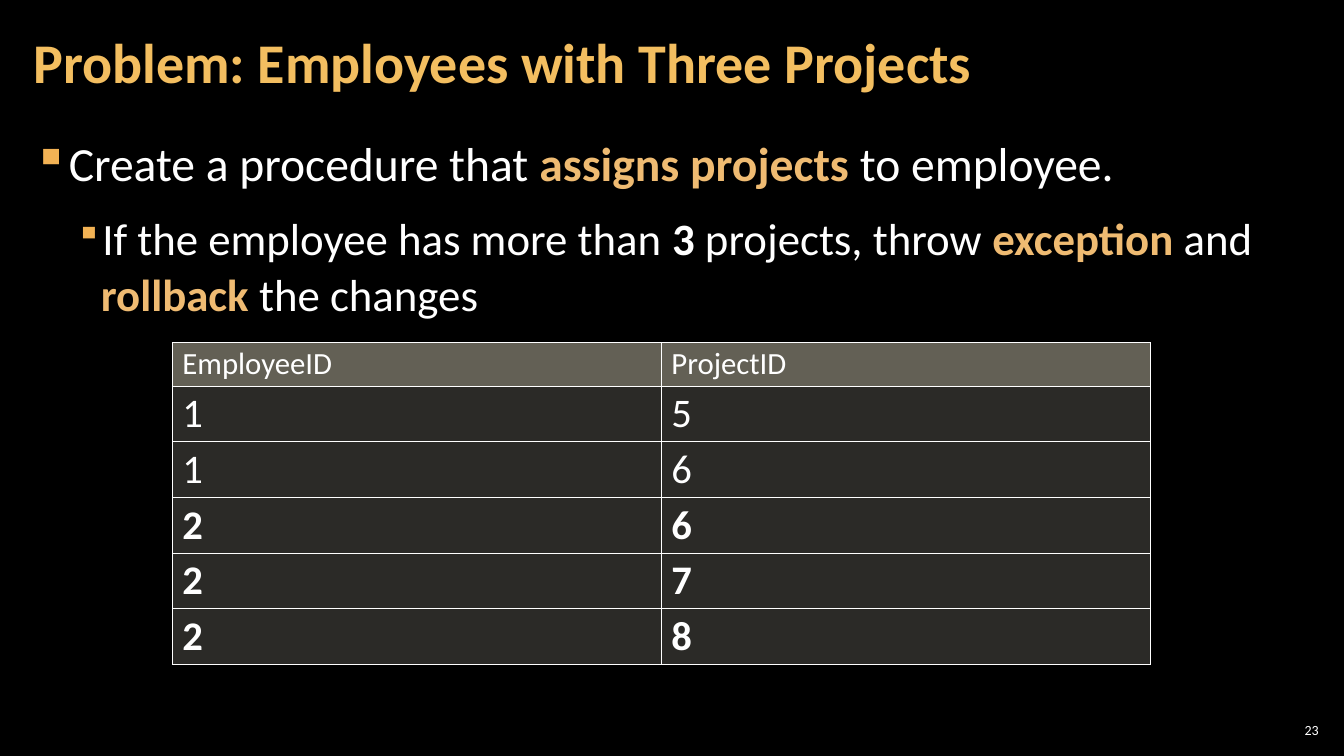
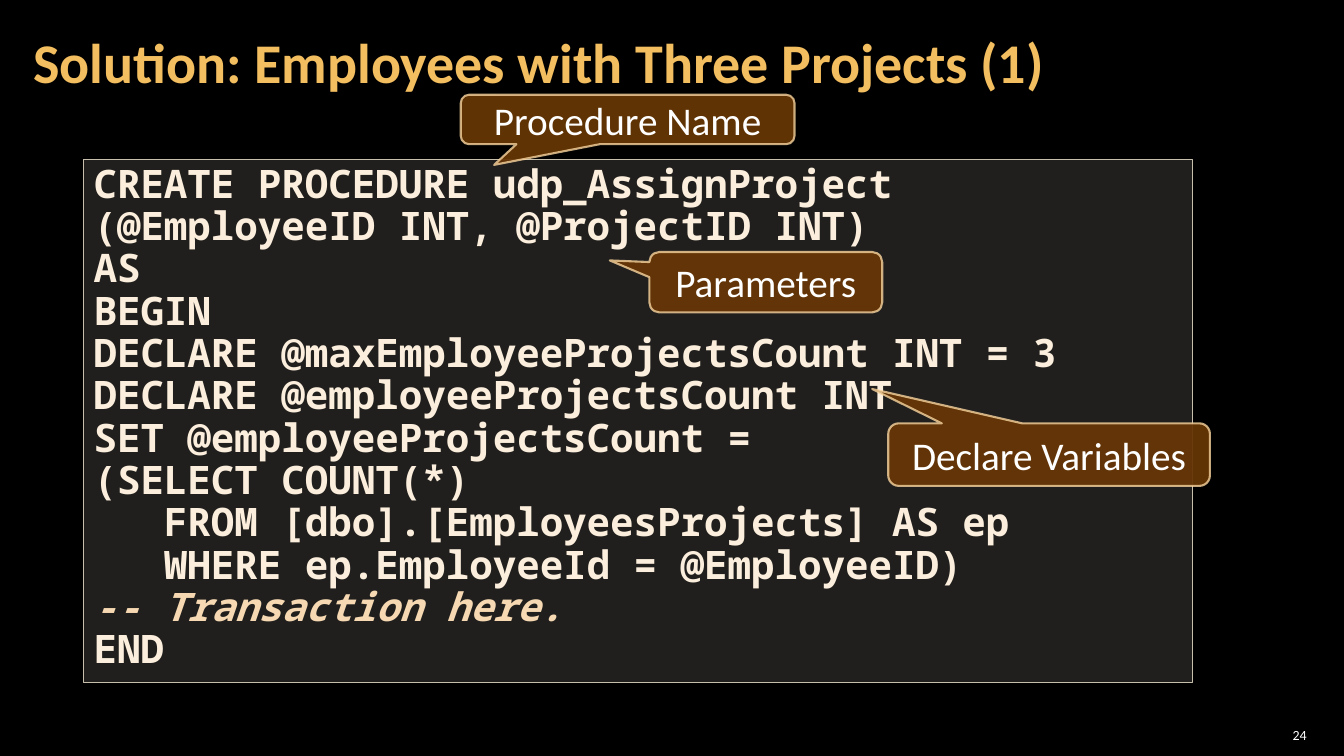
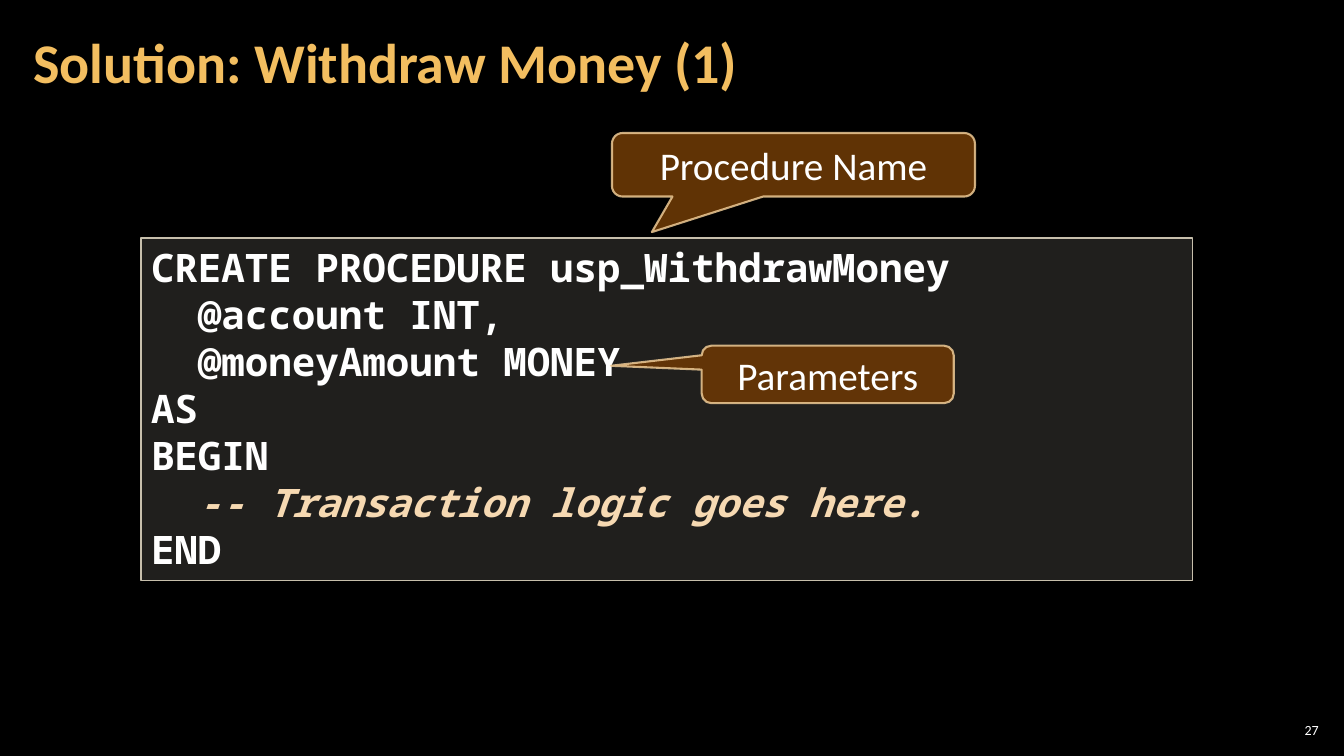
from dataclasses import dataclass
from lxml import etree
from pptx import Presentation
from pptx import util as u
from pptx.dml.color import RGBColor
from pptx.enum import shapes, text
from pptx.oxml.ns import qn

EMU_PER_PX = 9144
BODY_FONT = "Calibri"
CODE_FONT = "Noto Sans Mono"
COLOURS = {
    "background": "000000",
    "title": "F3BE60",
    "white": "FFFFFF",
    "emphasis": "EFBB72",
    "bullet": "F2B254",
    "table_header": "C6C0AA",
    "panel": "D9D5C7",
    "panel_line": "C7BFAC",
    "code": "FBEEDC",
    "code_comment": "F6D9B2",
    "callout": "663606",
    "callout_line": "F8D49E",
}


@dataclass(frozen=True)
class Box:
    left: int
    top: int
    width: int
    height: int


@dataclass(frozen=True)
class Span:
    words: str
    colour: str = "white"
    bold: bool = False


@dataclass(frozen=True)
class Bullet:
    level: int
    size: int
    margin: int
    hanging: int
    marker_percent: int
    spans: tuple[Span, ...]


@dataclass(frozen=True)
class Callout:
    label: str
    box: Box
    tip_x: float
    tip_y: float


@dataclass(frozen=True)
class CodeSlide:
    title: str
    number: str
    number_box: Box
    code_box: Box
    code: str
    code_colour: str
    line_spacing: float
    callouts: tuple[Callout, ...]


TITLE_BOX = Box(21, 4, 1047, 121)
NUMBER_BOX = Box(1265, 714, 47, 21)
BULLETS_BOX = Box(21, 126, 1291, 609)
TABLE_BOX = Box(171, 340, 970, 318)
HEADER_HEIGHT = 43

BULLETS = (
    Bullet(0, 34, 33, 33, 100, (
        Span("Create a procedure that "),
        Span("assigns projects", "emphasis", True),
        Span(" to employee."),
    )),
    Bullet(1, 32, 67, 25, 80, (
        Span("If the employee has more than "),
        Span("3", bold=True),
        Span(" projects, throw "),
        Span("exception", "emphasis", True),
        Span(" and "),
        Span("rollback", "emphasis", True),
        Span(" the changes"),
    )),
)

ASSIGNMENTS = (
    ("EmployeeID", "ProjectID"),
    ("1", "5"),
    ("1", "6"),
    ("2", "6"),
    ("2", "7"),
    ("2", "8"),
)

ASSIGN_PROJECT = """CREATE PROCEDURE udp_AssignProject
(@EmployeeID INT, @ProjectID INT)
AS
BEGIN
DECLARE @maxEmployeeProjectsCount INT = 3
DECLARE @employeeProjectsCount INT
SET @employeeProjectsCount =
(SELECT COUNT(*)
   FROM [dbo].[EmployeesProjects] AS ep
   WHERE ep.EmployeeId = @EmployeeID)
-- Transaction here.
END"""

WITHDRAW_MONEY = """CREATE PROCEDURE usp_WithdrawMoney
  @account INT,
  @moneyAmount MONEY
AS
BEGIN
  -- Transaction logic goes here.
END"""

CODE_SLIDES = (
    CodeSlide(
        "Solution: Employees with Three Projects (1)", "24", Box(1250, 717, 50, 25),
        Box(83, 158, 1100, 519), ASSIGN_PROJECT, "code", 0.9,
        (
            Callout("Procedure Name", Box(457, 94, 331, 49), -0.4, 0.92),
            Callout("Parameters", Box(644, 250, 231, 60), -0.67, -0.36),
            Callout("Declare Variables", Box(881, 420, 319, 62), -0.55, -1.05),
        ),
    ),
    CodeSlide(
        "Solution: Withdraw Money (1)", "27", NUMBER_BOX,
        Box(140, 236, 1043, 340), WITHDRAW_MONEY, "white", 1.0,
        (
            Callout("Procedure Name", Box(607, 132, 360, 63), -0.39, 1.06),
            Callout("Parameters", Box(696, 343, 250, 57), -0.86, -0.15),
        ),
    ),
)


def px(length: int) -> u.Emu:
    return u.Emu(length * EMU_PER_PX)


def colour_of(name: str) -> RGBColor:
    return RGBColor.from_string(COLOURS[name])


def edges(box: Box) -> tuple:
    return px(box.left), px(box.top), px(box.width), px(box.height)


def format_font(font, size: int, colour: str = "white", bold: bool = False,
                name: str = BODY_FONT, italic: bool = False) -> None:
    font.name = name
    font.size = u.Pt(size)
    font.bold = bold
    font.italic = italic
    font.color.rgb = colour_of(colour)


def set_frame(frame, side: int, top: int, anchor=text.MSO_ANCHOR.MIDDLE) -> None:
    frame.word_wrap = True
    frame.auto_size = text.MSO_AUTO_SIZE.NONE
    frame.vertical_anchor = anchor
    frame.margin_left = frame.margin_right = px(side)
    frame.margin_top = frame.margin_bottom = px(top)


def set_opacity(parent, percent: int) -> None:
    colour = parent.find(qn("a:solidFill"))[0]
    etree.SubElement(colour, qn("a:alpha"), val=str(percent * 1000))


def add_solid(parent, colour: str) -> None:
    fill = etree.SubElement(parent, qn("a:solidFill"))
    etree.SubElement(fill, qn("a:srgbClr"), val=COLOURS[colour])


def add_panel(slide, kind, box: Box, fill: str, opacity: int, line: str, line_width: float):
    shape = slide.shapes.add_shape(kind, *edges(box))
    shape.shadow.inherit = False
    shape.fill.solid()
    shape.fill.fore_color.rgb = colour_of(fill)
    set_opacity(shape.element.spPr, opacity)
    shape.line.color.rgb = colour_of(line)
    shape.line.width = u.Pt(line_width)
    return shape


def add_titled_slide(presentation, title: str, number: str, number_box: Box):
    slide = presentation.slides.add_slide(presentation.slide_layouts[5])
    heading = slide.shapes.title
    heading.left, heading.top, heading.width, heading.height = edges(TITLE_BOX)
    set_frame(heading.text_frame, 12, 4)
    heading.text_frame.text = title
    paragraph = heading.text_frame.paragraphs[0]
    paragraph.alignment = text.PP_ALIGN.LEFT
    paragraph.line_spacing = 0.9
    format_font(paragraph.runs[0].font, 40, "title", True)

    footer = slide.shapes.add_textbox(*edges(number_box)).text_frame
    set_frame(footer, 4, 4)
    footer.text = number
    footer.paragraphs[0].alignment = text.PP_ALIGN.RIGHT
    format_font(footer.paragraphs[0].runs[0].font, 10)
    return slide


def add_bullets(slide, box: Box, bullets: tuple[Bullet, ...]) -> None:
    frame = slide.shapes.add_textbox(*edges(box)).text_frame
    set_frame(frame, 12, 4, text.MSO_ANCHOR.TOP)
    for index, bullet in enumerate(bullets):
        paragraph = frame.add_paragraph() if index else frame.paragraphs[0]
        properties = paragraph._p.get_or_add_pPr()
        properties.set("marL", str(px(bullet.margin)))
        properties.set("indent", str(-px(bullet.hanging)))
        marker_colour = etree.SubElement(properties, qn("a:buClr"))
        etree.SubElement(marker_colour, qn("a:srgbClr"), val=COLOURS["bullet"])
        etree.SubElement(properties, qn("a:buSzPct"), val=str(bullet.marker_percent * 1000))
        etree.SubElement(properties, qn("a:buChar"), char="▪")
        paragraph.level = bullet.level
        paragraph.line_spacing = 1.05
        paragraph.space_before = u.Pt(6 if index else 0)
        paragraph.space_after = u.Pt(6)
        for span in bullet.spans:
            run = paragraph.add_run()
            run.text = span.words
            format_font(run.font, bullet.size, span.colour, span.bold)


def format_cell(cell, words: str, is_header: bool) -> None:
    cell.margin_left = cell.margin_right = px(10)
    cell.margin_top = cell.margin_bottom = px(3)
    cell.text = words
    font = cell.text_frame.paragraphs[0].runs[0].font
    format_font(font, 22 if is_header else 29)
    properties = cell._tc.get_or_add_tcPr()
    for side in ("L", "R", "T", "B"):
        border = etree.SubElement(properties, qn(f"a:ln{side}"), w=str(u.Pt(1)))
        add_solid(border, "white")
    cell.fill.solid()
    cell.fill.fore_color.rgb = colour_of("table_header" if is_header else "panel")
    set_opacity(properties, 50 if is_header else 20)


def add_assignment_table(slide, box: Box, rows: tuple[tuple[str, str], ...]) -> None:
    table = slide.shapes.add_table(len(rows), len(rows[0]), *edges(box)).table
    row_height = (box.height - HEADER_HEIGHT) // (len(rows) - 1)
    for row_index, values in enumerate(rows):
        table.rows[row_index].height = px(row_height if row_index else HEADER_HEIGHT)
        for column_index, words in enumerate(values):
            cell = table.cell(row_index, column_index)
            format_cell(cell, words, row_index == 0)
            cell.text_frame.paragraphs[0].runs[0].font.bold = values[0] == "2"


def add_code(slide, content: CodeSlide) -> None:
    panel = add_panel(slide, shapes.MSO_SHAPE.RECTANGLE, content.code_box,
                      "panel", 15, "panel_line", 1)
    frame = panel.text_frame
    set_frame(frame, 10, 5, text.MSO_ANCHOR.TOP)
    frame.text = content.code
    for paragraph in frame.paragraphs:
        paragraph.alignment = text.PP_ALIGN.LEFT
        paragraph.line_spacing = content.line_spacing
        is_comment = paragraph.text.lstrip().startswith("--")
        colour = "code_comment" if is_comment else content.code_colour
        format_font(paragraph.runs[0].font, 28, colour, True, CODE_FONT, is_comment)


def add_callout(slide, callout: Callout) -> None:
    shape = add_panel(slide, shapes.MSO_SHAPE.ROUNDED_RECTANGULAR_CALLOUT, callout.box,
                      "callout", 95, "callout_line", 1.5)
    set_opacity(shape.element.spPr.find(qn("a:ln")), 80)
    shape.adjustments[0] = callout.tip_x
    shape.adjustments[1] = callout.tip_y
    set_frame(shape.text_frame, 10, 5)
    shape.text_frame.text = callout.label
    paragraph = shape.text_frame.paragraphs[0]
    paragraph.alignment = text.PP_ALIGN.CENTER
    format_font(paragraph.runs[0].font, 28)


def main() -> None:
    presentation = Presentation()
    presentation.slide_width = px(1333)
    presentation.slide_height = px(750)
    background = presentation.slide_master.background.fill
    background.solid()
    background.fore_color.rgb = colour_of("background")

    problem = add_titled_slide(
        presentation, "Problem: Employees with Three Projects", "23", NUMBER_BOX)
    add_bullets(problem, BULLETS_BOX, BULLETS)
    add_assignment_table(problem, TABLE_BOX, ASSIGNMENTS)

    for content in CODE_SLIDES:
        slide = add_titled_slide(
            presentation, content.title, content.number, content.number_box)
        add_code(slide, content)
        for callout in content.callouts:
            add_callout(slide, callout)

    presentation.save("out.pptx")


if __name__ == "__main__":
    main()
